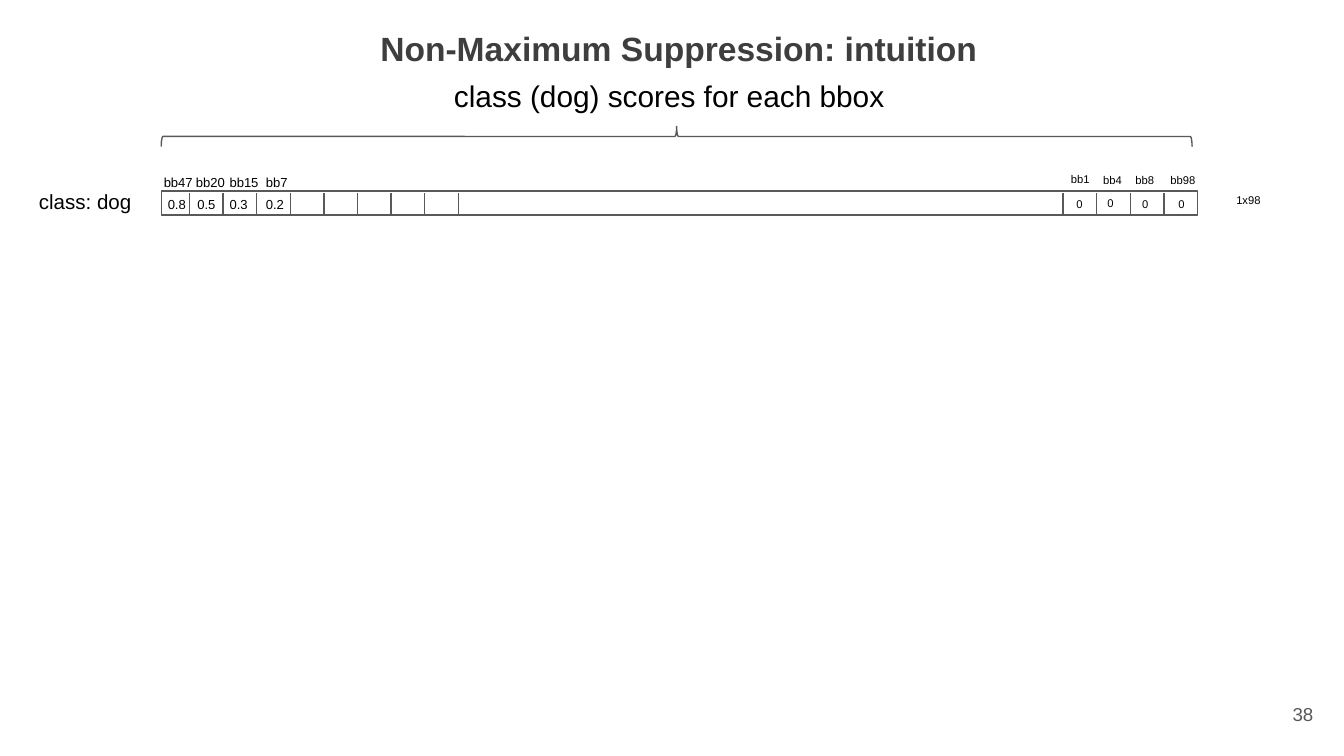
from lxml import etree
from pptx import Presentation, util as u
from pptx.dml.color import RGBColor
from pptx.enum import shapes, text
from pptx.oxml.ns import qn

COLORS = {"ink": "000000", "title": "3E3E3E", "line": "595959"}
COLUMN = 0.25          # width of one score cell, inches
FIRST_EDGE = 1.41      # first divider
LAST_EDGE = 8.66       # last divider
ROW_LEFT, ROW_TOP, ROW_WIDTH, ROW_HEIGHT = 1.2, 1.42, 7.71, 0.18

deck = Presentation()
deck.slide_width = u.Inches(10)
deck.slide_height = deck.slide_width * 9 // 16
slide = deck.slides.add_slide(deck.slide_layouts[5])


def write(words, left, top, width, height, box=None, size=7, color="ink",
          bold=False, align=text.PP_ALIGN.LEFT, anchor=text.MSO_ANCHOR.TOP):
    """Put one formatted line in a new text box, or in the given box."""
    place = [u.Inches(value) for value in (left, top, width, height)]
    if box is None:
        box = slide.shapes.add_textbox(*place)
    else:
        box.left, box.top, box.width, box.height = place
    frame = box.text_frame
    frame.word_wrap = True
    frame.auto_size = text.MSO_AUTO_SIZE.NONE
    frame.vertical_anchor = anchor
    frame.margin_left = frame.margin_right = u.Inches(0.1)
    frame.margin_top = frame.margin_bottom = u.Inches(0.1)
    para = frame.paragraphs[0]
    para.alignment = align
    span = para.add_run()
    span.text = words
    span.font.name, span.font.size, span.font.bold = "Arial", u.Pt(size), bold
    span.font.color.rgb = RGBColor.from_string(COLORS[color])
    return para


def outline(shape):
    shape.line.color.rgb = RGBColor.from_string(COLORS["line"])
    shape.line.width = u.Pt(0.75)


# Headings
title = write("Non-Maximum Suppression: intuition", 2.73, 0.08, 5.59, 0.52,
              box=slide.shapes.title, size=18, color="title", bold=True,
              anchor=text.MSO_ANCHOR.MIDDLE)
title.line_spacing, title.space_after = 1.1, u.Pt(12)
write("class (dog) scores for each bbox", 3.28, 0.48, 3.87, 0.38, size=16)

# Score row and the brace above it
row = slide.shapes.add_shape(
    shapes.MSO_SHAPE.RECTANGLE, u.Inches(ROW_LEFT), u.Inches(ROW_TOP),
    u.Inches(ROW_WIDTH), u.Inches(ROW_HEIGHT))
brace = slide.shapes.add_shape(
    shapes.MSO_SHAPE.RIGHT_BRACE, u.Inches(4.96), u.Inches(-2.82),
    u.Inches(0.15), u.Inches(7.67))
brace.rotation = 270
brace.adjustments[0] = 0.083
for shape in (row, brace):
    shape.shadow.inherit = False
    shape.fill.background()
    outline(shape)

# Cell dividers: nine from the left, four from the right
edges = [FIRST_EDGE + COLUMN * i for i in range(9)]
edges += [LAST_EDGE - COLUMN * i for i in range(4)]
for x in edges:
    divider = slide.shapes.add_connector(
        shapes.MSO_CONNECTOR.STRAIGHT, u.Inches(x), u.Inches(1.44),
        u.Inches(x), u.Inches(1.59))
    outline(divider)
    etree.SubElement(divider._element.spPr, qn("a:effectLst"))

# Box name, its left and top; score, its left and top; text size
cells = [
    ("bb47", 1.12, 1.2, "0.8", 1.15, 1.36, 7),
    ("bb20", 1.36, 1.2, "0.5", 1.37, 1.36, 7),
    ("bb15", 1.61, 1.2, "0.3", 1.61, 1.36, 7),
    ("bb7", 1.88, 1.2, "0.2", 1.88, 1.36, 7),
    ("bb1", 7.87, 1.18, "0", 7.91, 1.37, 6),
    ("bb4", 8.11, 1.19, "0", 8.14, 1.36, 6),
    ("bb8", 8.35, 1.19, "0", 8.4, 1.37, 6),
    ("bb98", 8.61, 1.19, "0", 8.67, 1.37, 6),
]
for name, name_left, name_top, score, score_left, score_top, size in cells:
    write(name, name_left, name_top, 0.42, 0.27, size=size)
    score_width = COLUMN if score == "0" else 0.42
    write(score, score_left, score_top, score_width, 0.27, size=size)

# Row labels and page number
write("class: dog", 0.19, 1.31, 1.41, 0.4, size=11)
write("1x98", 9.1, 1.34, 0.71, 0.27, size=6)
write("38", 9.27, 5.1, 0.6, 0.43, size=10, color="line",
      align=text.PP_ALIGN.RIGHT, anchor=text.MSO_ANCHOR.MIDDLE)

deck.save("out.pptx")
